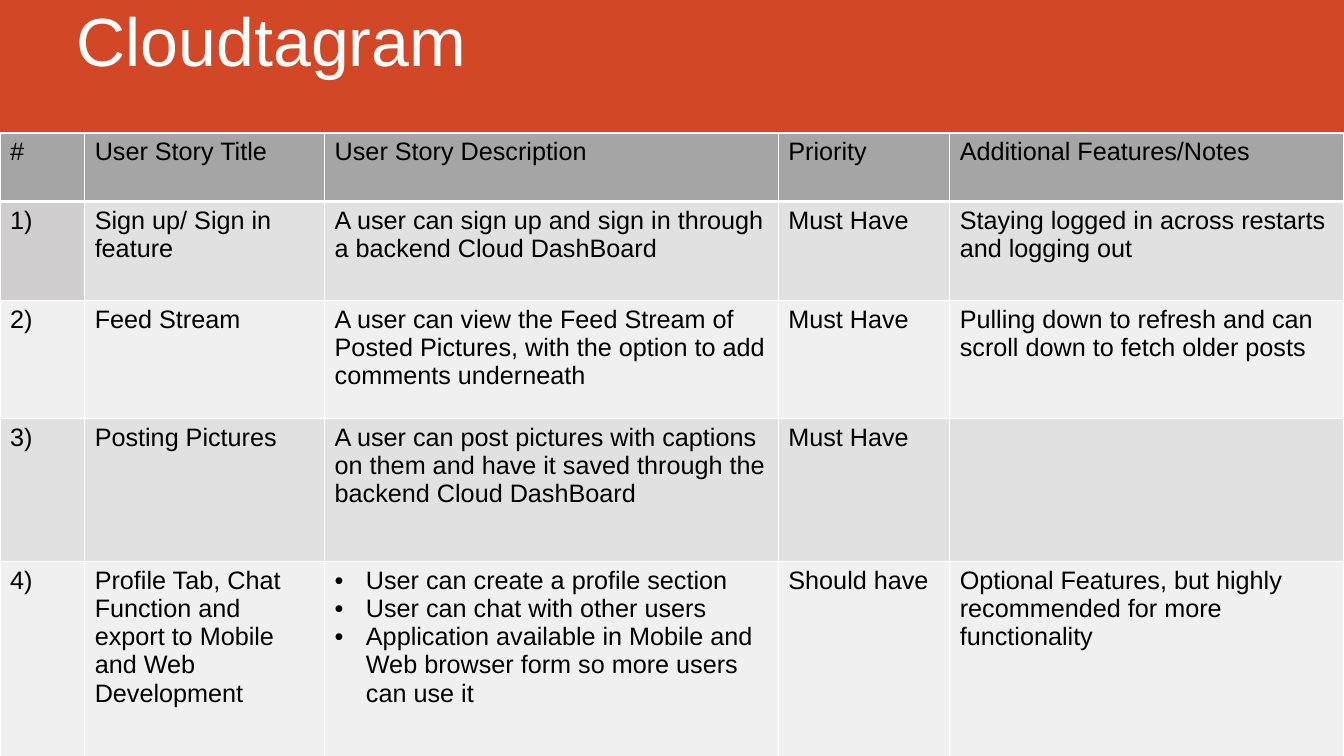
from dataclasses import dataclass

from lxml import etree
from pptx import Presentation
from pptx import util as u
from pptx.dml.color import RGBColor
from pptx.enum import shapes, text
from pptx.oxml.ns import qn


@dataclass(frozen=True)
class Theme:
    """Colours, font and type sizes of the slide."""
    font: str = "Arial"
    head: float = 48.6
    body: float = 18
    white: str = "FFFFFF"
    ink: str = "000000"
    band: str = "D24726"
    top: str = "A5A5A5"
    mark: str = "D0CECE"
    odd: str = "E1E1E1"
    even: str = "F0F0F0"


class Deck:
    """Holds the theme and the slide being built."""

    def __init__(self, theme):
        """Open a wide deck with one title slide."""
        self.theme = theme
        self.prs = Presentation()
        self.prs.slide_width = u.Inches(13.33)
        self.prs.slide_height = u.Inches(7.5)
        self.slide = self.prs.slides.add_slide(self.prs.slide_layouts[5])

    def style(self, para, size, color):
        """Format every run of a paragraph."""
        para.alignment = text.PP_ALIGN.LEFT
        for run in para.runs:
            run.font.name = self.theme.font
            run.font.size = u.Pt(size)
            run.font.bold = False
            run.font.color.rgb = RGBColor.from_string(color)

    def title(self, words):
        """Place the title text."""
        box = self.slide.shapes.title
        box.left, box.top = u.Inches(0.66), u.Inches(0)
        box.width, box.height = u.Inches(11.76), u.Inches(0.85)
        frame = box.text_frame
        frame.text = words
        frame.auto_size = text.MSO_AUTO_SIZE.NONE
        frame.vertical_anchor = text.MSO_ANCHOR.BOTTOM
        self.style(frame.paragraphs[0], self.theme.head, self.theme.white)

    def band(self, height):
        """Draw the colour band behind the title."""
        bar = self.slide.shapes.add_shape(
            shapes.MSO_SHAPE.RECTANGLE, 0, 0, self.prs.slide_width, u.Inches(height))
        bar.shadow.inherit = False
        bar.fill.solid()
        bar.fill.fore_color.rgb = RGBColor.from_string(self.theme.band)
        bar.line.fill.background()
        self.slide.shapes.title.element.addprevious(bar.element)

    def bullet(self, para):
        """Give a paragraph a hanging bullet."""
        props = para._p.get_or_add_pPr()
        props.set("marL", str(u.Inches(0.31)))
        props.set("indent", str(u.Inches(-0.31)))
        etree.SubElement(props, qn("a:buFont"), typeface=self.theme.font)
        etree.SubElement(props, qn("a:buChar"), char="•")

    def border(self, cell, widths):
        """Set the left, right, top and bottom rules of a cell."""
        props = cell._tc.get_or_add_tcPr()
        for spot, (side, width) in enumerate(zip("LRTB", widths)):
            line = etree.Element(qn("a:ln" + side), w=str(u.Pt(width)))
            fill = etree.SubElement(line, qn("a:solidFill"))
            etree.SubElement(fill, qn("a:srgbClr"), val=self.theme.white)
            props.insert(spot, line)

    def cell(self, cell, words, fill, widths):
        """Fill one cell, with bullets when given a list."""
        cell.fill.solid()
        cell.fill.fore_color.rgb = RGBColor.from_string(fill)
        self.border(cell, widths)
        listed = isinstance(words, list)
        cell.text_frame.text = "\n".join(words) if listed else words
        for para in cell.text_frame.paragraphs:
            self.style(para, self.theme.body, self.theme.ink)
            if listed:
                self.bullet(para)

    def table(self, top, cols, highs, rows):
        """Add the table with its header and banded rows."""
        look = self.theme
        grid = self.slide.shapes.add_table(
            len(rows), len(cols), 0, u.Inches(top),
            u.Inches(sum(cols)), u.Inches(sum(highs))).table
        grid.first_row = grid.horz_banding = False
        for col, width in zip(grid.columns, cols):
            col.width = u.Inches(width)
        for row, high in zip(grid.rows, highs):
            row.height = u.Inches(high)
        for r, row in enumerate(rows):
            fill = look.top if r == 0 else look.odd if r % 2 else look.even
            widths = (1, 1, 3 if r == 1 else 1, 3 if r == 0 else 1)
            for c, words in enumerate(row):
                tint = look.mark if (r, c) == (1, 0) else fill
                self.cell(grid.cell(r, c), words, tint, widths)


ROWS = [
    ["#", "User Story Title", "User Story Description", "Priority",
     "Additional Features/Notes"],
    ["1)", "Sign up/ Sign in feature",
     "A user can sign up and sign in through a backend Cloud DashBoard",
     "Must Have", "Staying logged in across restarts and logging out"],
    ["2)", "Feed Stream",
     "A user can view the Feed Stream of Posted Pictures, "
     "with the option to add comments underneath",
     "Must Have", "Pulling down to refresh and can scroll down to fetch older posts"],
    ["3)", "Posting Pictures",
     "A user can post pictures with captions on them "
     "and have it saved through the backend Cloud DashBoard",
     "Must Have", ""],
    ["4)", "Profile Tab, Chat Function and export to Mobile and Web Development",
     ["User can create a profile section",
      "User can chat with other users",
      "Application available in Mobile and Web browser form so more users can use it"],
     "Should have", "Optional Features, but highly recommended for more functionality"],
]


def main():
    """Build and save the user story slide."""
    deck = Deck(Theme())
    deck.title("Cloudtagram")
    deck.band(1.46)
    deck.table(1.32, [0.84, 2.38, 4.5, 1.7, 3.91],
               [0.68, 0.98, 1.17, 1.42, 2.24], ROWS)
    deck.prs.save("out.pptx")


if __name__ == "__main__":
    main()
